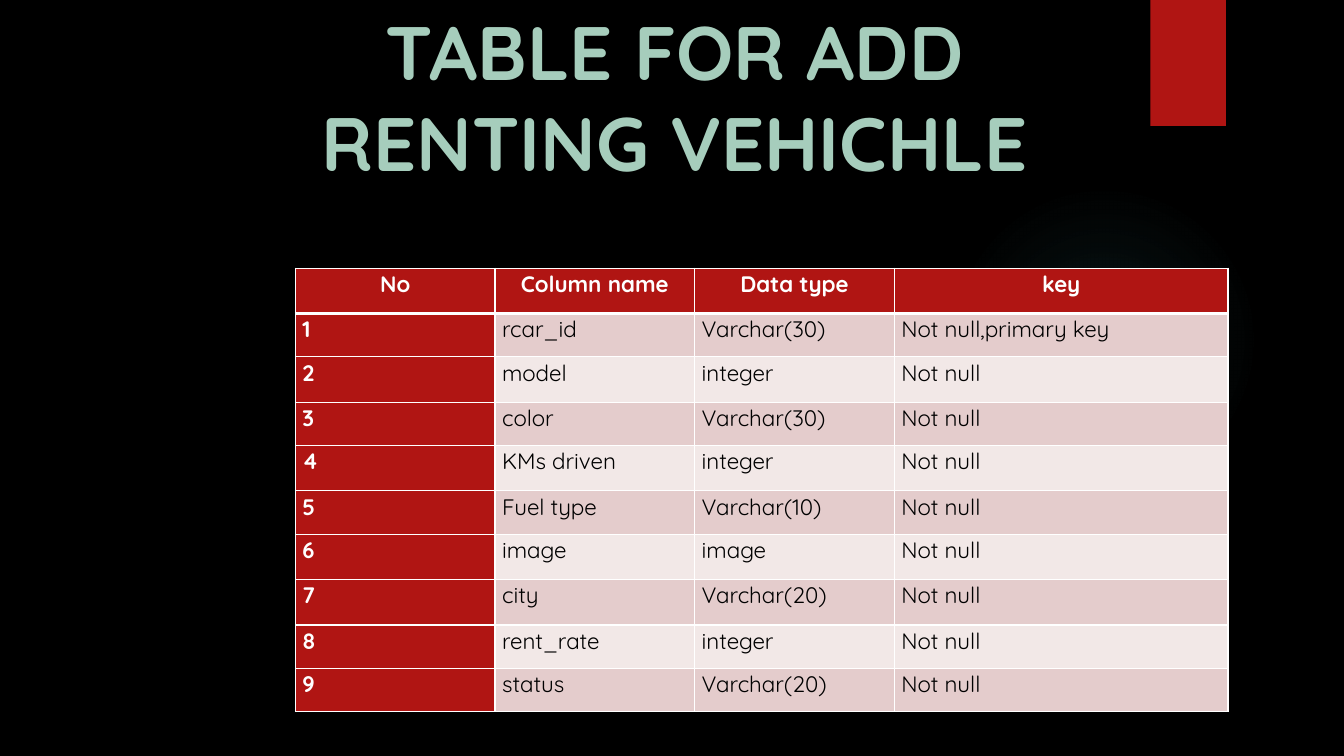
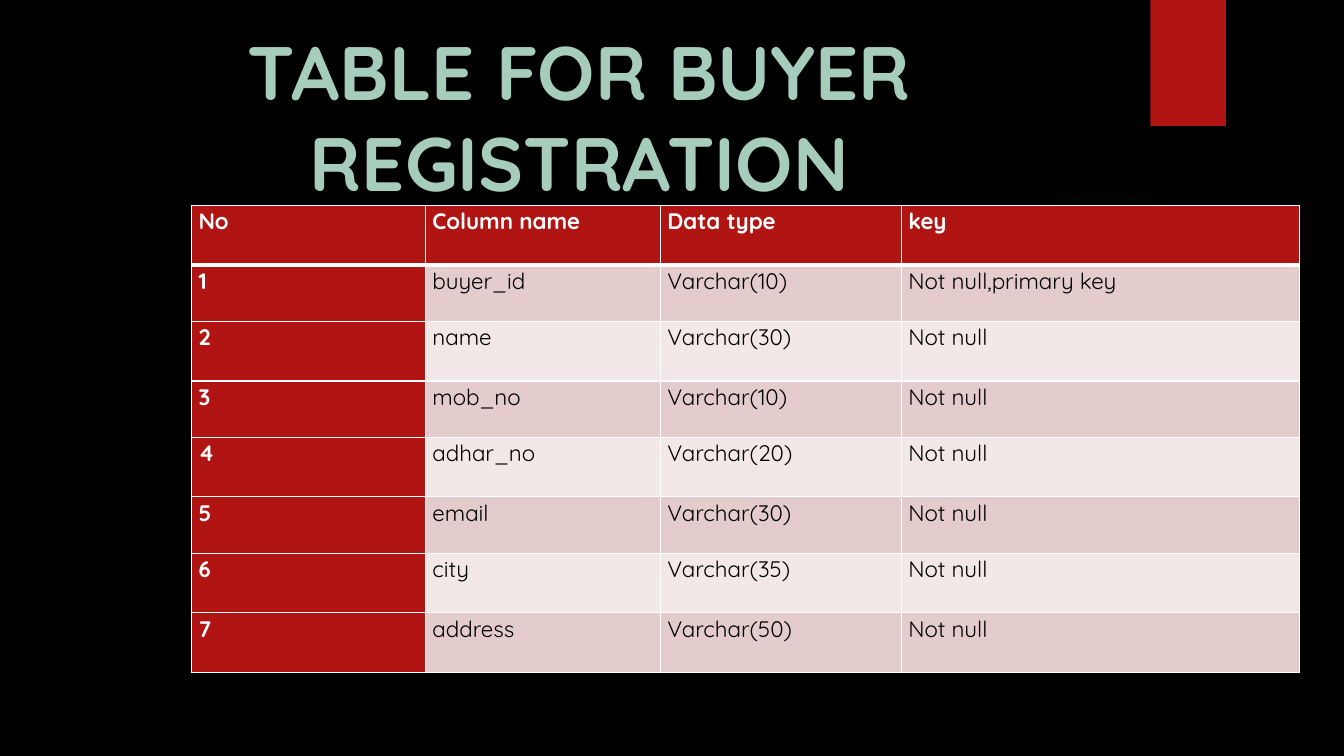
from lxml import etree
from pptx import Presentation
from pptx.dml.color import RGBColor
from pptx.enum.shapes import MSO_SHAPE
from pptx.enum.text import MSO_AUTO_SIZE, PP_ALIGN
from pptx.oxml import parse_xml
from pptx.oxml.ns import nsdecls, qn
from pptx.util import Inches, Pt

RECT, OVAL = MSO_SHAPE.RECTANGLE, MSO_SHAPE.OVAL
CENTER, LEFT = PP_ALIGN.CENTER, PP_ALIGN.LEFT
FIT_SHAPE = MSO_AUTO_SIZE.SHAPE_TO_FIT_TEXT

FONT = "Quicksand"
BLACK, WHITE, RED = "000000", "FFFFFF", "B01513"
TITLE_COLOR, GLOW = "A6CDBC", "50B9C1"
BANDS = ("E4CCCC", "F2E8E7")
GLOW_STOPS = [(0, 7), (36, 6), (69, 0)]

HEADER = ("No", "Column name", "Data type", "key")
PRIMARY, REQUIRED = "Not null,primary key", "Not null"

SLIDES = [
    {
        "title": "TABLE FOR ADD RENTING VEHICHLE",
        "title_box": (2.45, 0, 8.48, 1.92),
        "table_at": (2.93, 2.66),
        "cols": (1.98, 1.98, 1.98, 3.31),
        "rows": (0.45, 0.43, 0.45, 0.43, 0.45, 0.43, 0.45, 0.45, 0.43, 0.43),
        "header_align": CENTER,
        "fields": [
            ("rcar_id", "Varchar(30)", PRIMARY),
            ("model", "integer", REQUIRED),
            ("color", "Varchar(30)", REQUIRED),
            ("KMs driven", "integer", REQUIRED),
            ("Fuel type", "Varchar(10)", REQUIRED),
            ("image", "image", REQUIRED),
            ("city", "Varchar(20)", REQUIRED),
            ("rent_rate", "integer", REQUIRED),
            ("status", "Varchar(20)", REQUIRED),
        ],
    },
    {
        "title": "TABLE FOR BUYER REGISTRATION",
        "title_box": (0.27, 0.2, 10.95, 1.92),
        "table_at": (1.9, 2.04),
        "cols": (2.32, 2.33, 2.39, 3.95),
        "rows": (0.59, 0.56, 0.59, 0.56, 0.59, 0.56, 0.59, 0.59),
        "header_align": LEFT,
        "fields": [
            ("buyer_id", "Varchar(10)", PRIMARY),
            ("name", "Varchar(30)", REQUIRED),
            ("mob_no", "Varchar(10)", REQUIRED),
            ("adhar_no", "Varchar(20)", REQUIRED),
            ("email", "Varchar(30)", REQUIRED),
            ("city", "Varchar(35)", REQUIRED),
            ("address", "Varchar(50)", REQUIRED),
        ],
    },
]


def rgb(color):
    """Turn a hex string into a colour."""
    return RGBColor.from_string(color)


def paint(fill, color):
    """Give a fill one solid colour."""
    fill.solid()
    fill.fore_color.rgb = rgb(color)


def add_run(p, text, size, color, bold):
    """Append a styled run to a paragraph."""
    r = p.add_run()
    r.text = text
    r.font.name, r.font.size, r.font.bold = FONT, Pt(size), bold
    r.font.color.rgb = rgb(color)


def add_plain_shape(s, kind, *box):
    """Add a red shape without line or shadow."""
    sp = s.shapes.add_shape(kind, *map(Inches, box))
    sp.shadow.inherit = False
    sp.line.fill.background()
    paint(sp.fill, RED)
    return sp


def add_backdrop(s):
    """Add the black background, the faint glow and the red tab."""
    paint(s.background.fill, BLACK)
    glow = add_plain_shape(s, OVAL, 9.41, 1.83, 3.08, 3.08)
    stops = "".join(
        f'<a:gs pos="{pos * 1000}"><a:srgbClr val="{GLOW}">'
        f'<a:alpha val="{alpha * 1000}"/></a:srgbClr></a:gs>'
        for pos, alpha in GLOW_STOPS)
    gradient = parse_xml(
        f'<a:gradFill {nsdecls("a")} rotWithShape="1"><a:gsLst>{stops}</a:gsLst>'
        '<a:path path="circle"><a:fillToRect l="50000" t="50000" r="50000" '
        'b="50000"/></a:path></a:gradFill>')
    sp_pr = glow.element.spPr
    sp_pr.replace(sp_pr.find(qn("a:solidFill")), gradient)
    add_plain_shape(s, RECT, 11.41, 0, 0.75, 1.25)


def add_title(s, text, box):
    """Add the large centred title."""
    tf = s.shapes.add_textbox(*map(Inches, box)).text_frame
    tf.word_wrap = True
    tf.auto_size = FIT_SHAPE
    p = tf.paragraphs[0]
    p.alignment = CENTER
    add_run(p, text, 54, TITLE_COLOR, True)


def set_borders(cell, **widths):
    """Draw white cell borders with the given widths in points."""
    tc_pr = cell._tc.get_or_add_tcPr()
    for side in "LRTB":
        ln = etree.SubElement(tc_pr, qn(f"a:ln{side}"), w=str(Pt(widths.get(side, 1))))
        fill = etree.SubElement(ln, qn("a:solidFill"))
        etree.SubElement(fill, qn("a:srgbClr"), val=WHITE)


def fill_cell(cell, text, row, col, align):
    """Write and style one table cell by its place in the grid."""
    is_label = row == 0 or col == 0
    cell.margin_left = cell.margin_right = Inches(0.07)
    cell.margin_top = cell.margin_bottom = 0
    set_borders(cell, T=3 if row == 1 else 1, B=3 if row == 0 else 1)
    paint(cell.fill, RED if is_label else BANDS[(row - 1) % 2])
    p = cell.text_frame.paragraphs[0]
    p.alignment, p.line_spacing = align, 1.07
    add_run(p, text, 16, WHITE if is_label else BLACK, is_label)


def add_field_table(s, data):
    """Add the numbered table of database fields."""
    rows = [HEADER] + [(str(n), *field) for n, field in enumerate(data["fields"], 1)]
    cols, heights = data["cols"], data["rows"]
    box = (*data["table_at"], sum(cols), sum(heights))
    table = s.shapes.add_table(len(rows), len(cols), *map(Inches, box)).table
    for column, width in zip(table.columns, cols):
        column.width = Inches(width)
    for i, (values, height) in enumerate(zip(rows, heights)):
        table.rows[i].height = Inches(height)
        align = LEFT if i else data["header_align"]
        for j, text in enumerate(values):
            fill_cell(table.cell(i, j), text, i, j, align)


def main():
    """Build and save the presentation."""
    prs = Presentation()
    prs.slide_width, prs.slide_height = Inches(13.33), Inches(7.5)
    for data in SLIDES:
        s = prs.slides.add_slide(prs.slide_layouts[6])
        add_backdrop(s)
        add_field_table(s, data)
        add_title(s, data["title"], data["title_box"])
    prs.save("out.pptx")


if __name__ == "__main__":
    main()
